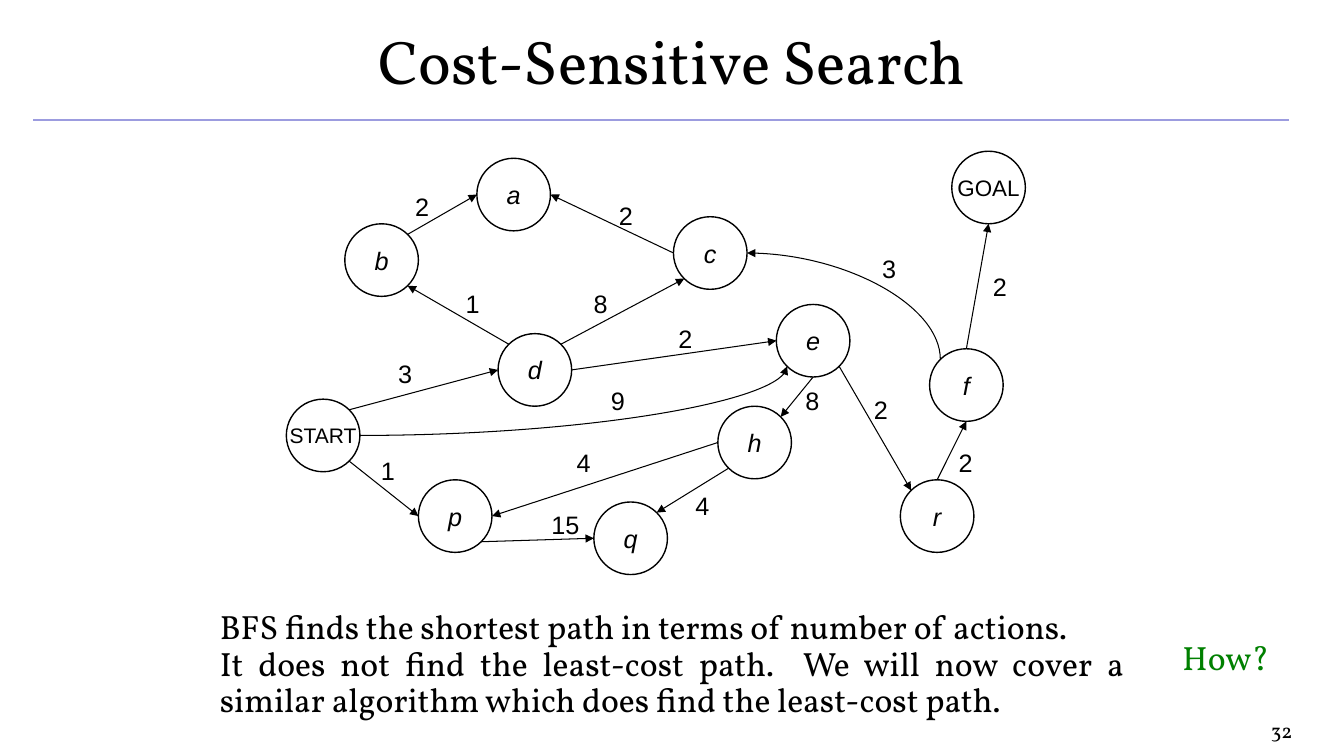
from dataclasses import dataclass
from math import sqrt

from lxml.etree import SubElement
from pptx import Presentation
from pptx.dml.color import RGBColor
from pptx.enum.shapes import MSO_CONNECTOR, MSO_SHAPE
from pptx.enum.text import MSO_ANCHOR, PP_ALIGN
from pptx.oxml.ns import qn
from pptx.util import Inches, Pt

COLORS = {"ink": "000000", "rule": "9C9CDF", "question": "008000"}
SERIF, SANS = "Vollkorn", "Arial"
NODE_W, NODE_H = 0.73, 0.72
DIAG = sqrt(0.5)
# Connection sites of a circle, counter-clockwise from the top
SITES = {
    "top": (0, -1), "top left": (-DIAG, -DIAG), "left": (-1, 0), "bottom left": (-DIAG, DIAG),
    "bottom": (0, 1), "bottom right": (DIAG, DIAG), "right": (1, 0), "top right": (DIAG, -DIAG),
}


@dataclass
class Node:
    name: str
    left: float
    top: float
    size: float = 18
    italic: bool = True

    def site(self, side: str) -> tuple[float, float]:
        dx, dy = SITES[side]
        return self.left + NODE_W / 2 * (1 + dx), self.top + NODE_H / 2 * (1 + dy)


@dataclass
class Edge:
    source: str
    leave: str
    target: str
    enter: str
    cost: str
    cost_left: float
    cost_top: float
    curved: bool = False


NODES = {node.name: node for node in [
    Node("START", 2.84, 3.96, 15, False),
    Node("GOAL", 9.44, 1.5, 16, False),
    Node("d", 4.94, 3.31),
    Node("b", 3.42, 2.22),
    Node("p", 4.15, 4.76),
    Node("q", 5.89, 4.98),
    Node("c", 6.68, 2.15),
    Node("e", 7.7, 3.02),
    Node("h", 7.12, 4.03),
    Node("a", 4.73, 1.57),
    Node("f", 9.22, 3.46),
    Node("r", 8.93, 4.76),
]}
EDGES = [
    Edge("START", "bottom right", "p", "left", "1", 3.68, 4.47),
    Edge("p", "bottom right", "q", "left", "15", 5.37, 5),
    Edge("h", "bottom left", "q", "top right", "4", 6.8, 4.82),
    Edge("h", "left", "p", "right", "4", 5.62, 4.39),
    Edge("e", "bottom", "h", "top right", "8", 7.89, 3.77),
    Edge("e", "bottom right", "r", "top left", "2", 8.57, 3.86),
    Edge("r", "top", "f", "bottom", "2", 9.41, 4.39),
    Edge("f", "top", "GOAL", "bottom", "2", 9.75, 2.64),
    Edge("START", "top right", "d", "left", "3", 3.85, 3.51),
    Edge("d", "top left", "b", "bottom right", "1", 4.52, 2.81),
    Edge("b", "top right", "a", "left", "2", 4.02, 1.85),
    Edge("c", "left", "a", "right", "2", 6.04, 1.94),
    Edge("d", "top right", "c", "bottom left", "8", 5.79, 2.81),
    Edge("d", "right", "e", "left", "2", 6.63, 3.16),
    Edge("f", "top left", "c", "right", "3", 8.65, 2.46, curved=True),
    Edge("START", "right", "e", "bottom left", "9", 5.96, 3.77, curved=True),
]


def add_run(paragraph, text: str, font: str, size: float, color: str = "ink", italic: bool = False) -> None:
    run = paragraph.add_run()
    run.text = text
    run.font.name = font
    run.font.size = Pt(size)
    run.font.italic = italic
    run.font.color.rgb = RGBColor.from_string(COLORS[color])


def set_tight_margins(frame) -> None:
    frame.margin_left = frame.margin_right = Inches(0.07)
    frame.margin_top = frame.margin_bottom = Inches(0.04)


def add_text_frame(slide, left: float, top: float, width: float, height: float):
    frame = slide.shapes.add_textbox(Inches(left), Inches(top), Inches(width), Inches(height)).text_frame
    frame.word_wrap = True
    return frame


def add_line(slide, kind, start: tuple, end: tuple, color: str, width: float):
    line = slide.shapes.add_connector(kind, *(Inches(v) for v in (*start, *end)))
    line.line.color.rgb = RGBColor.from_string(COLORS[color])
    line.line.width = Pt(width)
    SubElement(line._element.spPr, qn("a:effectLst"))
    return line


def add_node(slide, node: Node):
    circle = slide.shapes.add_shape(MSO_SHAPE.FLOWCHART_CONNECTOR, Inches(node.left), Inches(node.top),
                                    Inches(NODE_W), Inches(NODE_H))
    circle.shadow.inherit = False
    circle.fill.background()
    circle.line.color.rgb = RGBColor.from_string(COLORS["ink"])
    circle.line.width = Pt(1)
    frame = circle.text_frame
    frame.word_wrap = False
    frame.vertical_anchor = MSO_ANCHOR.MIDDLE
    frame.paragraphs[0].alignment = PP_ALIGN.CENTER
    add_run(frame.paragraphs[0], node.name, SANS, node.size, italic=node.italic)
    return circle


def add_curve(slide, start: tuple, end: tuple, upward: bool):
    """Draw a quarter curve that leaves sideways, or upward by a quarter turn of its box."""
    if upward:
        mid_x, mid_y = (start[0] + end[0]) / 2, (start[1] + end[1]) / 2
        half_w, half_h = abs(end[1] - start[1]) / 2, abs(end[0] - start[0]) / 2
        start, end = (mid_x + half_w, mid_y - half_h), (mid_x - half_w, mid_y + half_h)
    curve = add_line(slide, MSO_CONNECTOR.CURVE, start, end, "ink", 0.75)
    properties = curve._element.spPr
    properties.find(qn("a:prstGeom")).set("prst", "curvedConnector2")
    if upward:
        properties.find(qn("a:xfrm")).set("rot", str(90 * 60000))
    return curve


def glue(arrow, tag: str, circle, side: str) -> None:
    """Join one end of an arrow to any of a circle's eight sites."""
    joints = arrow._element.find(qn("p:nvCxnSpPr")).find(qn("p:cNvCxnSpPr"))
    SubElement(joints, qn(tag), id=str(circle.shape_id), idx=str(list(SITES).index(side)))


def add_edge(slide, edge: Edge, circles: dict) -> None:
    start = NODES[edge.source].site(edge.leave)
    end = NODES[edge.target].site(edge.enter)
    if edge.curved:
        arrow = add_curve(slide, start, end, upward=edge.leave.startswith("top"))
    else:
        arrow = add_line(slide, MSO_CONNECTOR.STRAIGHT, start, end, "ink", 0.75)
        glue(arrow, "a:stCxn", circles[edge.source], edge.leave)
        glue(arrow, "a:endCxn", circles[edge.target], edge.enter)
    SubElement(arrow._element.spPr.find(qn("a:ln")), qn("a:tailEnd"), type="triangle")
    cost = add_text_frame(slide, edge.cost_left, edge.cost_top, 0.17 * (1 + len(edge.cost)), 0.4)
    add_run(cost.paragraphs[0], edge.cost, SANS, 18)


def main() -> None:
    presentation = Presentation()
    presentation.slide_width, presentation.slide_height = Inches(13.33), Inches(7.5)
    slide = presentation.slides.add_slide(presentation.slide_layouts[5])

    add_line(slide, MSO_CONNECTOR.STRAIGHT, (0.33, 1.19), (12.78, 1.19), "rule", 1)
    title = slide.shapes.title
    title.left, title.top = Inches(0), Inches(-0.03)
    title.width, title.height = Inches(13.33), Inches(1.25)
    set_tight_margins(title.text_frame)
    title.text_frame.vertical_anchor = MSO_ANCHOR.MIDDLE
    heading = title.text_frame.paragraphs[0]
    heading.alignment = PP_ALIGN.CENTER
    add_run(heading, "Cost-Sensitive Search", SERIF, 44)

    circles = {name: add_node(slide, node) for name, node in NODES.items()}
    for edge in EDGES:
        add_edge(slide, edge, circles)

    explanation = add_text_frame(slide, 2.11, 6.02, 9.11, 1.34)
    set_tight_margins(explanation)
    sentences = [
        "BFS finds the shortest path in terms of number of actions.",
        "It does not find the least-cost path.  We will now cover a similar algorithm "
        "which does find the least-cost path.",
    ]
    for index, sentence in enumerate(sentences):
        paragraph = explanation.add_paragraph() if index else explanation.paragraphs[0]
        paragraph.alignment = PP_ALIGN.JUSTIFY
        paragraph.line_spacing = 0.9
        add_run(paragraph, sentence, SERIF, 24)

    question = add_text_frame(slide, 11.63, 6.27, 1.67, 0.5)
    add_run(question.paragraphs[0], "How?", SERIF, 24, "question")

    page_number = add_text_frame(slide, 10.56, 7.08, 2.33, 0.32)
    set_tight_margins(page_number)
    page_number.paragraphs[0].alignment = PP_ALIGN.RIGHT
    add_run(page_number.paragraphs[0], "32", SERIF, 14.7)

    presentation.save("out.pptx")


if __name__ == "__main__":
    main()
